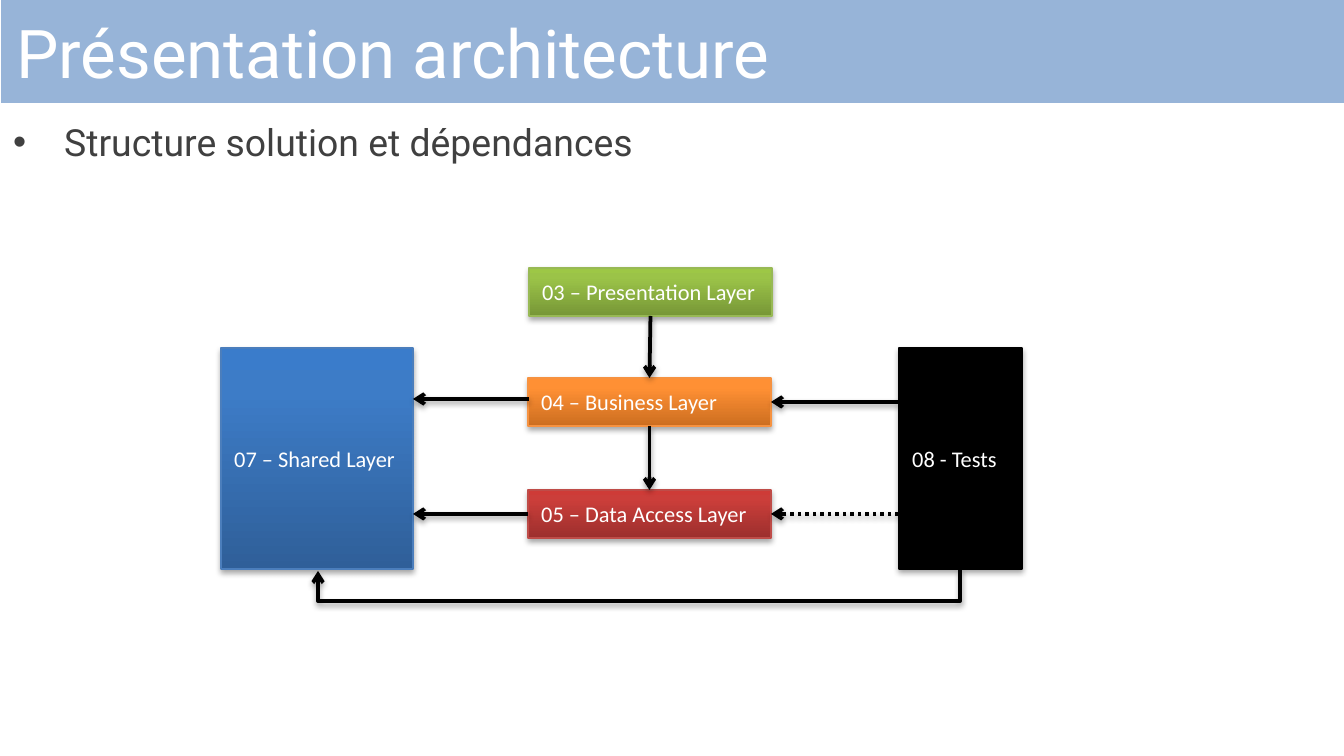
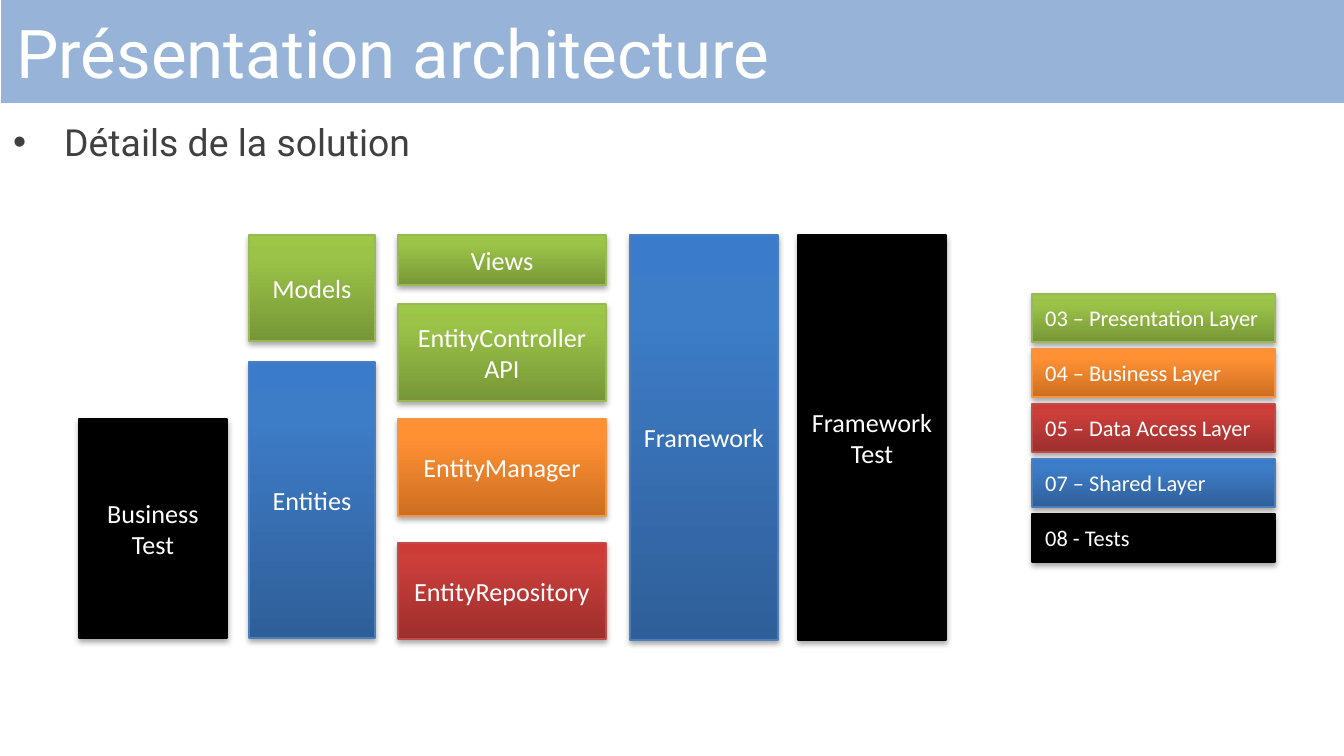
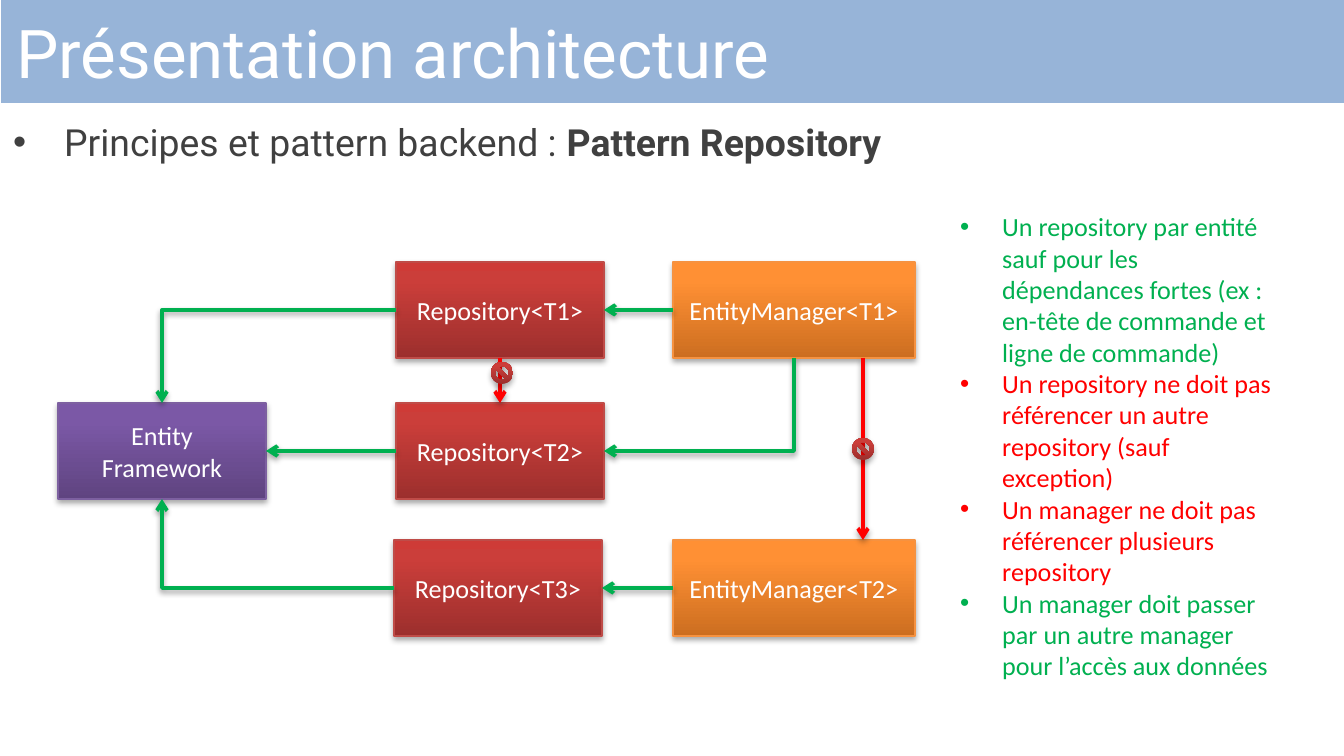
from collections import namedtuple
from copy import deepcopy

from lxml import etree
from pptx import Presentation
from pptx import util as u
from pptx.dml.color import RGBColor
from pptx.enum import dml, shapes, text
from pptx.oxml.ns import qn

SCALE = 914400 / 134.4
WIDE, HIGH = 1344, 756
PILL_W, PILL_H = 243, 48

WHITE = RGBColor(0xFF, 0xFF, 0xFF)
BLACK = RGBColor(0, 0, 0)
GREY = RGBColor(0x40, 0x40, 0x40)
BAND = RGBColor(0x4F, 0x81, 0xBD)
LEAF = RGBColor(0, 0xB0, 0x50)
ALERT = RGBColor(0xFF, 0, 0)

Tone = namedtuple("Tone", "low mid high edge")
GREEN = Tone(RGBColor(0x77, 0x97, 0x37), RGBColor(0x9B, 0xC3, 0x48),
             RGBColor(0x9D, 0xC7, 0x46), RGBColor(0x98, 0xB9, 0x55))
ORANGE = Tone(RGBColor(0xCC, 0x6E, 0x20), RGBColor(0xFF, 0x90, 0x34),
              RGBColor(0xFF, 0x91, 0x36), RGBColor(0xF6, 0x92, 0x40))
RED = Tone(RGBColor(0x9C, 0x2F, 0x2D), RGBColor(0xCB, 0x3E, 0x3A),
           RGBColor(0xCE, 0x3B, 0x37), RGBColor(0xBF, 0x4C, 0x48))
BLUE = Tone(RGBColor(0x2F, 0x5F, 0x99), RGBColor(0x3D, 0x7C, 0xC7),
            RGBColor(0x3A, 0x7C, 0xCB), RGBColor(0x4B, 0x7E, 0xBC))
VIOLET = Tone(RGBColor(0x5F, 0x44, 0x80), RGBColor(0x7B, 0x58, 0xA6),
              RGBColor(0x7C, 0x57, 0xA8), RGBColor(0x7D, 0x60, 0xA0))
DARK = Tone(BLACK, BLACK, BLACK, BLACK)

LAYERS = {
    "show": ("03 – Presentation Layer", GREEN),
    "work": ("04 – Business Layer", ORANGE),
    "data": ("05 – Data Access Layer", RED),
    "share": ("07 – Shared Layer", BLUE),
    "test": ("08 - Tests", DARK),
}
RULES = [
    ("Un repository par entité sauf pour les dépendances fortes "
     "(ex : en-tête de commande et ligne de commande)", LEAF),
    ("Un repository ne doit pas référencer un autre repository (sauf exception)", ALERT),
    ("Un manager ne doit pas référencer plusieurs repository", ALERT),
    ("Un manager doit passer par un autre manager pour l’accès aux données", LEAF),
]


def px(*sizes):
    """Turn px lengths into EMU."""
    return [u.Emu(round(size * SCALE)) for size in sizes]


def add(node, tag, **attrs):
    """Append a child element with its attributes."""
    child = etree.SubElement(node, qn(tag))
    for key, value in attrs.items():
        child.set(key, str(value))
    return child


def shade(shape, alpha, dist):
    """Give a shape or connector a soft shadow below it."""
    glow = add(add(shape.element.spPr, "a:effectLst"), "a:outerShdw", blurRad=40000,
               dist=dist, dir=5400000, rotWithShape=0)
    add(add(glow, "a:srgbClr", val=BLACK), "a:alpha", val=alpha * 1000)


def write(para, words, font, size, color, bold=False):
    """Add one formatted run."""
    run = para.add_run()
    run.text = words
    run.font.name, run.font.size, run.font.bold = font, u.Pt(size), bold
    run.font.color.rgb = color


def bullet(para, dent):
    """Hang a paragraph on a round bullet."""
    props = para._p.get_or_add_pPr()
    room = px(dent)[0]
    props.set("marL", str(room))
    props.set("indent", str(-room))
    add(props, "a:buFont", typeface="Arial")
    add(props, "a:buChar", char="•")


def paint(shape, tone):
    """Fill a shape with a tone, solid or graded from the bottom up."""
    if tone.low == tone.high:
        shape.fill.solid()
        shape.fill.fore_color.rgb = tone.low
        return
    shape.fill.gradient()
    shape.fill.gradient_angle = 90
    stops = shape.element.spPr.find(qn("a:gradFill")).find(qn("a:gsLst"))
    stops.append(deepcopy(stops[-1]))
    for stop, place, color in zip(shape.fill.gradient_stops, (0, 0.8, 1), tone):
        stop.position = place
        stop.color.rgb = color


def block(page, words, tone, box, size=14, align=text.PP_ALIGN.CENTER):
    """Add a shaded rectangle with one paragraph per line of words."""
    shape = page.shapes.add_shape(shapes.MSO_SHAPE.RECTANGLE, *px(*box))
    paint(shape, tone)
    shape.line.color.rgb = tone.edge
    shape.line.width = u.Pt(0.75)
    shade(shape, 35, 23000)
    frame = shape.text_frame
    frame.word_wrap = True
    frame.vertical_anchor = text.MSO_ANCHOR.MIDDLE
    for i, line in enumerate(words.split("\n")):
        para = frame.add_paragraph() if i else frame.paragraphs[0]
        para.alignment = align
        write(para, line, "Calibri", size, WHITE)
    return shape


def layer(page, key, x, y, w=PILL_W, h=PILL_H):
    """Add the block of one named layer."""
    return block(page, *LAYERS[key], (x, y, w, h), 12, text.PP_ALIGN.LEFT)


def sign(page, x, y):
    """Add a small no-entry sign."""
    shape = page.shapes.add_shape(shapes.MSO_SHAPE.NO_SYMBOL, *px(x, y, 22, 22))
    paint(shape, RED)
    shape.line.fill.background()
    shade(shape, 35, 23000)


def ink(line, color, dash=None):
    """Format a connector as an arrow."""
    line.line.color.rgb = color
    line.line.width = u.Pt(2)
    if dash:
        line.line.dash_style = dash
    add(line.element.spPr.find(qn("a:ln")), "a:tailEnd", type="arrow")
    shade(line, 38, 20000)


def wire(page, start, end, color, dash=None):
    """Draw a straight arrow; an end is a point or a (shape, side) pair."""
    free = [isinstance(tip[0], int) for tip in (start, end)]
    spots = [tip if loose else (0, 0) for tip, loose in zip((start, end), free)]
    line = page.shapes.add_connector(shapes.MSO_CONNECTOR.STRAIGHT,
                                     *px(*spots[0], *spots[1]))
    if not free[0]:
        line.begin_connect(*start)
    if not free[1]:
        line.end_connect(*end)
    ink(line, color, dash)


def bend(page, start, end, color, turn, flip=False, drop=None):
    """Draw an elbow arrow with one corner, or two when it has a drop."""
    (x, y), (tox, toy) = start, end
    w, h = abs(tox - x), abs(toy - y)
    if turn == 90:
        w, h = h, w
    left, top = (x + tox - w) / 2, (y + toy - h) / 2
    line = page.shapes.add_connector(shapes.MSO_CONNECTOR.ELBOW,
                                     *px(left, top, left + w, top + h))
    props = line.element.spPr
    frame = props.find(qn("a:xfrm"))
    frame.set("rot", str(turn * 60000))
    if flip:
        frame.set("flipV", "1")
    shape = props.find(qn("a:prstGeom"))
    if drop:
        add(shape.find(qn("a:avLst")), "a:gd", name="adj1",
            fmla=f"val {round(drop / w * 100000)}")
    else:
        shape.set("prst", "bentConnector2")
    ink(line, color)


def base(deck, *runs):
    """Add a slide with its title band and headline bullet."""
    page = deck.slides.add_slide(deck.slide_layouts[5])
    title = page.shapes.title
    title.left, title.top, title.width, title.height = px(3, 1, WIDE - 3, 102)
    frame = title.text_frame
    frame.auto_size = text.MSO_AUTO_SIZE.NONE
    frame.vertical_anchor = text.MSO_ANCHOR.MIDDLE
    para = frame.paragraphs[0]
    para.alignment = text.PP_ALIGN.LEFT
    write(para, "Présentation architecture", "Roboto", 36, WHITE)

    band = page.shapes.add_shape(shapes.MSO_SHAPE.RECTANGLE, *px(1, 0, WIDE - 1, 103))
    band.shadow.inherit = False
    band.fill.solid()
    band.fill.fore_color.rgb = BAND
    tint = band.element.spPr.find(qn("a:solidFill"))[0]
    add(tint, "a:alpha", val=59000)
    band.line.fill.background()
    title.element.addprevious(band.element)

    body = page.shapes.add_textbox(*px(0, 113, WIDE, 634)).text_frame
    body.word_wrap = True
    para = body.paragraphs[0]
    para.space_before = u.Pt(4)
    bullet(para, 51)
    for words, bold in runs:
        write(para, words, "Roboto", 20, GREY, bold)
    return page


def stack(page, x, y):
    """Draw the layers and their dependencies."""
    test = (x + 678, y + 80, 123, 221)
    layer(page, "test", *test)
    layer(page, "share", x, y + 80, 192, 221)
    data = layer(page, "data", x + 307, y + 222)
    work = layer(page, "work", x + 307, y + 110)
    show = layer(page, "show", x + 308, y)
    dots = dml.MSO_LINE.ROUND_DOT
    for start, end, dash in [
        ((show, 2), (work, 0), None),
        ((work, 2), (data, 0), None),
        ((x + 308, y + 131), (x + 192, y + 131), None),
        ((data, 1), (x + 192, y + 246), None),
        ((test[0], y + 134), (work, 3), None),
        ((test[0], y + 246), (data, 3), dots),
    ]:
        wire(page, start, end, BLACK, dash)
    bend(page, (x + 739, y + 301), (x + 97, y + 303), BLACK, 90, drop=32)


def parts(page, x, y):
    """Draw the projects of the solution by column."""
    for words, tone, left, top, w, h in [
        ("EntityRepository", RED, 319, 308, 208, 96),
        ("EntityManager", ORANGE, 319, 184, 208, 97),
        ("EntityControllerAPI", GREEN, 319, 69, 208, 97),
        ("Framework", BLUE, 551, 0, 148, 405),
        ("Framework\nTest", DARK, 719, 0, 148, 405),
        ("Entities", BLUE, 170, 127, 126, 276),
        ("Models", GREEN, 170, 0, 126, 106),
        ("Business\nTest", DARK, 0, 184, 148, 219),
        ("Views", GREEN, 319, 0, 208, 50),
    ]:
        block(page, words, tone, (x + left, y + top, w, h))


def legend(page, x, y):
    """List the layers as a colour key."""
    for i, key in enumerate(LAYERS):
        layer(page, key, x, y + 55 * i)


def flow(page, x, y):
    """Draw the allowed and forbidden calls of the pattern."""
    def cell(words, tone, left, top, w=208):
        """Add one block of the flow."""
        return block(page, words, tone, (x + left, y + top, w, 96))

    one = cell("Repository<T1>", RED, 338, 0)
    core = cell("Entity Framework", VIOLET, 0, 141)
    two = cell("Repository<T2>", RED, 338, 141)
    three = cell("Repository<T3>", RED, 336, 278)
    boss = cell("EntityManager<T1>", ORANGE, 615, 0, 242)
    peer = cell("EntityManager<T2>", ORANGE, 615, 278, 242)
    for start, end in [(two, core), (boss, one), (peer, three)]:
        wire(page, (start, 1), (end, 3), LEAF)
    bend(page, (x + 338, y + 48), (x + 104, y + 141), LEAF, 180, flip=True)
    bend(page, (x + 336, y + 326), (x + 104, y + 237), LEAF, 180)
    bend(page, (x + 736, y + 96), (x + 546, y + 189), LEAF, 90)
    wire(page, (x + 805, y + 96), (x + 805, y + 278), ALERT)
    wire(page, (one, 2), (two, 0), ALERT)
    sign(page, x + 794, y + 176)
    sign(page, x + 433, y + 100)


def rules(page, x, y):
    """List the rules of the pattern."""
    frame = page.shapes.add_textbox(*px(x, y, 339, 520)).text_frame
    frame.word_wrap = True
    for i, (words, color) in enumerate(RULES):
        para = frame.add_paragraph() if i else frame.paragraphs[0]
        bullet(para, 42)
        write(para, words, "Calibri", 14, color)


def main():
    """Build the three slides."""
    deck = Presentation()
    deck.slide_width, deck.slide_height = px(WIDE, HIGH)
    stack(base(deck, ("Structure solution et dépendances", False)), 221, 268)
    page = base(deck, ("Détails de la solution", False))
    parts(page, 79, 235)
    legend(page, 1032, 294)
    page = base(deck, ("Principes et pattern backend : ", False),
                ("Pattern Repository", True))
    flow(page, 58, 262)
    rules(page, 947, 204)
    deck.save("out.pptx")


if __name__ == "__main__":
    main()
